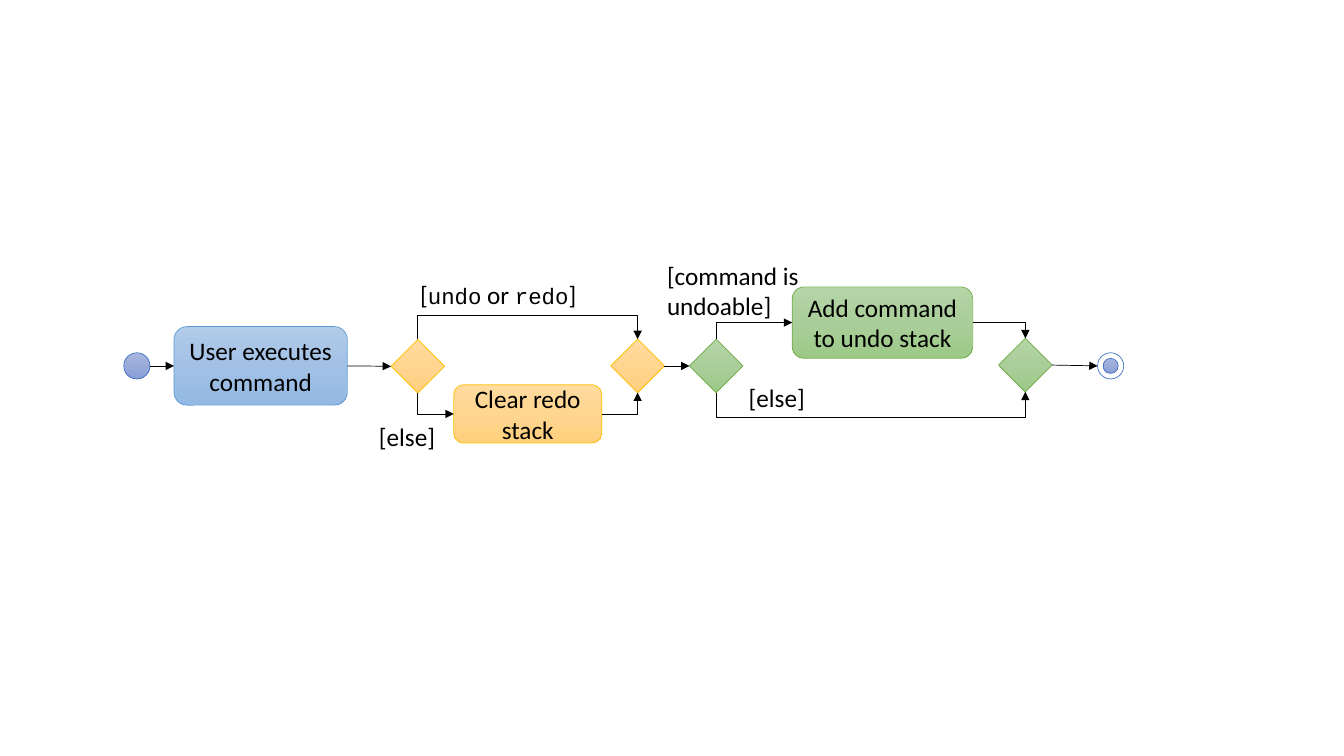
from copy import deepcopy
from pptx import Presentation
from pptx.dml.color import RGBColor
from pptx.enum.shapes import MSO_CONNECTOR, MSO_SHAPE
from pptx.enum.text import MSO_ANCHOR, MSO_AUTO_SIZE, PP_ALIGN
from pptx.oxml.ns import qn
from pptx.oxml.xmlchemy import OxmlElement
from pptx.util import Cm, Pt

HUES = {
    "indigo": ("4472C4", "A8B7DF", "9AABD9", "889ED7"),
    "blue": ("5B9BD5", "B1CBE9", "A3C1E5", "93B9E4"),
    "gold": ("FFC000", "FFDB9E", "FFD590", "FFD07C"),
    "green": ("70AD47", "B5D5A7", "AACE9A", "9CC987"),
    "ring": ("4472C4", "FFFFFF"),
}
INK = "000000"
DOT, GEM = (0.66, 0.66), (1.35, 1.35)

# name: preset, hue, centre, size, text
NODES = {
    "start": (MSO_SHAPE.OVAL, "indigo", (3.45, 9.22), DOT, ""),
    "run": (MSO_SHAPE.ROUNDED_RECTANGLE, "blue", (6.57, 9.22), (4.37, 1.98),
            "User executes command"),
    "split": (MSO_SHAPE.DIAMOND, "gold", (10.53, 9.23), GEM, ""),
    "clear": (MSO_SHAPE.ROUNDED_RECTANGLE, "gold", (13.3, 10.43), (3.73, 1.47),
              "Clear redo stack"),
    "merge": (MSO_SHAPE.DIAMOND, "gold", (16.07, 9.22), GEM, ""),
    "test": (MSO_SHAPE.DIAMOND, "green", (18.05, 9.22), GEM, ""),
    "add": (MSO_SHAPE.ROUNDED_RECTANGLE, "green", (22.24, 8.13), (4.55, 1.8),
            "Add command to undo stack"),
    "join": (MSO_SHAPE.DIAMOND, "green", (25.84, 9.2), GEM, ""),
}
END = {
    "end": (MSO_SHAPE.OVAL, "ring", (27.99, 9.22), DOT, ""),
    "core": (MSO_SHAPE.OVAL, "indigo", (27.99, 9.22), (0.38, 0.38), ""),
}
TOP, LEFT, LOW, RIGHT = range(4)
# from, side, to, side, height of the rail for three-part paths
LINKS = [
    ("start", RIGHT, "run", LEFT, None),
    ("run", RIGHT, "split", LEFT, None),
    ("split", LOW, "clear", LEFT, None),
    ("split", TOP, "merge", TOP, 7.95),
    ("clear", RIGHT, "merge", LOW, None),
    ("merge", RIGHT, "test", LEFT, None),
    ("test", TOP, "add", LEFT, None),
    ("test", LOW, "join", LOW, 10.52),
    ("add", RIGHT, "join", TOP, None),
    ("join", RIGHT, "end", LEFT, None),
]
BODY, CODE = {"name": "Calibri", "size": Pt(18)}, {"name": "Courier New", "size": Pt(16)}
# box, runs
NOTES = [
    ((10.34, 6.91, 4.45, 1.02), [("[", BODY), ("undo", CODE), (" or ", BODY),
                                 ("redo", CODE), ("]", BODY)]),
    ((9.3, 10.49, 2.36, 1.02), [("[else]", BODY)]),
    ((18.62, 9.5, 2.36, 1.02), [("[else]", BODY)]),
    ((16.56, 6.43, 3.94, 1.8), [("[command is undoable]", BODY)]),
]
BOX = {"word_wrap": True, "vertical_anchor": MSO_ANCHOR.MIDDLE}
NOTE = {"word_wrap": True, "auto_size": MSO_AUTO_SIZE.SHAPE_TO_FIT_TEXT}


def style(item, form):
    """Set each attribute in form on item."""
    for key, value in form.items():
        setattr(item, key, value)


def write(frame, runs, form, align):
    """Fill a text frame with one paragraph of runs."""
    style(frame, form)
    para = frame.paragraphs[0]
    para.alignment = align
    for text, face in runs:
        run = para.add_run()
        run.text = text
        style(run.font, face)
        run.font.color.rgb = RGBColor.from_string(INK)


def paint(shape, hue):
    """Give a shape its edge and its plain or graded fill."""
    edge, *tints = HUES[hue]
    shape.shadow.inherit = False
    shape.line.color.rgb = RGBColor.from_string(edge)
    shape.line.width = Pt(0.5)
    if len(tints) == 1:
        shape.fill.solid()
        shape.fill.fore_color.rgb = RGBColor.from_string(tints[0])
        return
    shape.fill.gradient()
    shape.fill.gradient_angle = 270
    stops = shape.element.xpath(".//a:gsLst")[0]
    stops.append(deepcopy(stops[-1]))
    for i, stop in enumerate(shape.fill.gradient_stops):
        stop.position = i / 2
        stop.color.rgb = RGBColor.from_string(tints[i])


def draw(shapes, preset, hue, mid, size, text):
    """Add a node around its centre."""
    spot = [Cm(m - s / 2) for m, s in zip(mid, size)]
    shape = shapes.add_shape(preset, *spot, *map(Cm, size))
    paint(shape, hue)
    if text:
        write(shape.text_frame, [(text, BODY)], BOX, PP_ALIGN.CENTER)
    return shape


def port(shape, side):
    """Return the middle point of one side of a shape."""
    x, y = shape.left + shape.width // 2, shape.top + shape.height // 2
    return {TOP: (x, shape.top), LEFT: (shape.left, y),
            LOW: (x, shape.top + shape.height), RIGHT: (shape.left + shape.width, y)}[side]


def bend(wire, a, b, tall, rail):
    """Turn a wire into an elbow; tall ones leave up or down."""
    (xa, ya), (xb, yb) = a, b
    geom = wire.element.spPr.find(qn("a:prstGeom"))
    geom.set("prst", "bentConnector2" if rail is None else "bentConnector3")
    if tall:
        wide, high = abs(yb - ya), abs(xb - xa)
        style(wire, {"left": (xa + xb - wide) // 2, "top": (ya + yb - high) // 2,
                     "width": wide, "height": high})
        frame = wire.element.spPr.find(qn("a:xfrm"))
        frame.set("rot", "5400000")
        frame.set("flipH", str(int(yb < ya)))
        frame.set("flipV", str(int(xb > xa)))
    if rail is not None:
        guide = OxmlElement("a:gd")
        guide.set("name", "adj1")
        guide.set("fmla", f"val {round((Cm(rail) - ya) / (yb - ya) * 100000)}")
        geom.get_or_add_avLst().append(guide)


def link(shapes, nodes, head, out, tail, into, rail):
    """Join two nodes with an arrow."""
    a, b = port(nodes[head], out), port(nodes[tail], into)
    flat = (out, into) == (RIGHT, LEFT)
    kind = MSO_CONNECTOR.STRAIGHT if flat else MSO_CONNECTOR.ELBOW
    wire = shapes.add_connector(kind, *a, *b)
    if head != "start":
        wire.begin_connect(nodes[head], out)
    if tail != "end":
        wire.end_connect(nodes[tail], into)
    if not flat:
        bend(wire, a, b, out in (TOP, LOW), rail)
    wire.line.color.rgb = RGBColor.from_string(INK)
    wire.line.width = Pt(0.5)
    tip = OxmlElement("a:tailEnd")
    tip.set("type", "triangle")
    wire.line._get_or_add_ln().append(tip)
    wire.element.spPr.append(OxmlElement("a:effectLst"))


deck = Presentation()
style(deck, {"slide_width": Cm(33.87), "slide_height": Cm(19.05)})
slide = deck.slides.add_slide(deck.slide_layouts[6])
shapes = slide.shapes
nodes = {name: draw(shapes, *node) for name, node in NODES.items()}
group = shapes.add_group_shape()
nodes.update({name: draw(group.shapes, *node) for name, node in END.items()})
for box, runs in NOTES:
    note = shapes.add_textbox(*map(Cm, box))
    write(note.text_frame, runs, NOTE, PP_ALIGN.LEFT)
for row in LINKS:
    link(shapes, nodes, *row)
deck.save("out.pptx")
